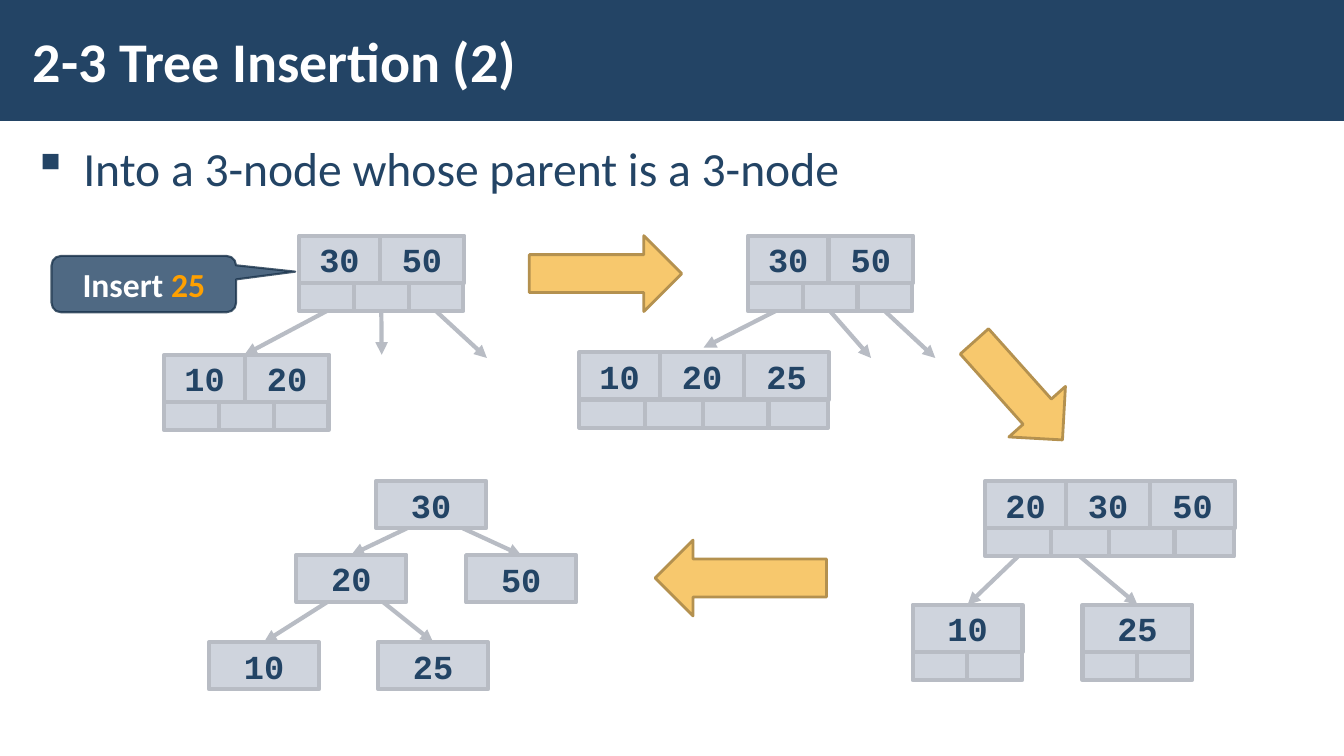
import lxml.etree
import pptx
import pptx.dml.color
import pptx.enum.shapes
import pptx.enum.text
import pptx.oxml.ns
import pptx.util

Cm = pptx.util.Cm
Pt = pptx.util.Pt
RGBColor = pptx.dml.color.RGBColor
MSO_SHAPE = pptx.enum.shapes.MSO_SHAPE
MIDDLE = pptx.enum.text.MSO_ANCHOR.MIDDLE
CENTER = pptx.enum.text.PP_ALIGN.CENTER
qn = pptx.oxml.ns.qn

NAVY = RGBColor(0x23, 0x44, 0x65)
DARK_NAVY = RGBColor(0x1A, 0x33, 0x4B)
WHITE = RGBColor(0xFF, 0xFF, 0xFF)
CELL_FILL = RGBColor(0xA1, 0xAA, 0xBC)
CELL_LINE = RGBColor(0xB8, 0xBC, 0xC4)
ORANGE = RGBColor(0xFF, 0xA0, 0x00)
ARROW_FILL = RGBColor(0xF7, 0xC8, 0x6D)
ARROW_LINE = RGBColor(0xB4, 0x91, 0x4F)

KEY_HEIGHT = 1.19
POINTER_HEIGHT = 0.71
KEY_WIDTHS = {1: [2.77], 2: [2.03, 2.13], 3: [2.03, 2.13, 2.13]}
POINTER_WIDTHS = {
    1: [1.38, 1.38],
    2: [1.38, 1.38, 1.38],
    3: [1.65, 1.47, 1.65, 1.5],
}
TOP, BOTTOM = 0, 2


def style_font(font, name, size, color, bold=True):
    font.name = name
    font.size = Pt(size)
    font.bold = bold
    font.color.rgb = color


def set_alpha(solid_fill, percent):
    alpha = lxml.etree.SubElement(solid_fill[0], qn("a:alpha"))
    alpha.set("val", str(percent * 1000))


def add_box(slide, kind, left, top, width, height, fill, line=None, weight=0):
    sp = slide.shapes.add_shape(kind, Cm(left), Cm(top), Cm(width), Cm(height))
    sp.shadow.inherit = False
    sp.fill.solid()
    sp.fill.fore_color.rgb = fill
    if line is None:
        sp.line.fill.background()
    else:
        sp.line.color.rgb = line
        sp.line.width = Pt(weight)
    return sp


def add_text(slide, left, top, width, height, text, size, color, bold):
    tb = slide.shapes.add_textbox(Cm(left), Cm(top), Cm(width), Cm(height))
    tf = tb.text_frame
    tf.word_wrap = True
    tf.margin_left = tf.margin_right = Cm(0.3)
    tf.margin_top = tf.margin_bottom = Cm(0.1)
    tf.text = text
    style_font(tf.paragraphs[0].runs[0].font, "Calibri", size, color, bold)
    return tf


def add_cells(slide, left, top, widths, height):
    cells = []
    for width in widths:
        sp = add_box(slide, MSO_SHAPE.RECTANGLE, left, top, width, height,
                     CELL_FILL, CELL_LINE, 3)
        set_alpha(sp.element.spPr.find(qn("a:solidFill")), 50)
        cells.append(sp)
        left += width
    return cells


def add_node(slide, left, top, keys, has_pointers=True):
    key_cells = add_cells(slide, left, top, KEY_WIDTHS[len(keys)], KEY_HEIGHT)
    for sp, key in zip(key_cells, keys):
        tf = sp.text_frame
        tf.vertical_anchor = MIDDLE
        tf.text = str(key)
        p = tf.paragraphs[0]
        p.alignment = CENTER
        style_font(p.runs[0].font, "Courier New", 24, NAVY)
    pointers = []
    if has_pointers:
        pointers = add_cells(slide, left, top + KEY_HEIGHT,
                             POINTER_WIDTHS[len(keys)], POINTER_HEIGHT)
    return key_cells, pointers


def add_link(slide, start, end):
    points = [p if isinstance(p, tuple) else (0, 0) for p in (start, end)]
    cx = slide.shapes.add_connector(
        pptx.enum.shapes.MSO_CONNECTOR.STRAIGHT,
        *[Cm(v) for point in points for v in point])
    if not isinstance(start, tuple):
        cx.begin_connect(start, BOTTOM)
    if not isinstance(end, tuple):
        cx.end_connect(end, TOP)
    cx.line.color.rgb = CELL_LINE
    cx.line.width = Pt(3)
    tail = lxml.etree.SubElement(cx.line._get_or_add_ln(), qn("a:tailEnd"))
    tail.set("type", "triangle")
    lxml.etree.SubElement(cx.element.spPr, qn("a:effectLst"))


def add_header(slide, width, height):
    add_box(slide, MSO_SHAPE.RECTANGLE, 0, 0, width, height, NAVY)
    tf = add_text(slide, 0.53, 0.28, 26.42, height - 0.58,
                  "2-3 Tree Insertion (2)", 40, WHITE, True)
    tf.vertical_anchor = MIDDLE


def add_body(slide, left, top, width, height):
    tf = add_text(slide, left, top, width, height,
                  "Into a 3-node whose parent is a 3-node", 34, NAVY, False)
    p = tf.paragraphs[0]
    pPr = p._p.get_or_add_pPr()
    pPr.set("marL", str(Cm(1.27)))
    pPr.set("indent", str(Cm(-1.27)))
    color = lxml.etree.SubElement(pPr, qn("a:buClr"))
    lxml.etree.SubElement(color, qn("a:srgbClr")).set("val", str(NAVY))
    lxml.etree.SubElement(pPr, qn("a:buChar")).set("char", "▪")
    p.line_spacing = 1.05


def add_callout(slide, left, top, width, height):
    sp = add_box(slide, MSO_SHAPE.ROUNDED_RECTANGULAR_CALLOUT,
                 left, top, width, height, NAVY, DARK_NAVY, 1.5)
    for i, value in enumerate((0.821, -0.221, 0.167)):
        sp.adjustments[i] = value
    spPr = sp.element.spPr
    set_alpha(spPr.find(qn("a:solidFill")), 80)
    set_alpha(spPr.find(qn("a:ln")).find(qn("a:solidFill")), 80)
    tf = sp.text_frame
    tf.vertical_anchor = MIDDLE
    p = tf.paragraphs[0]
    p.alignment = CENTER
    for text, color in (("Insert ", WHITE), ("25", ORANGE)):
        r = p.add_run()
        r.text = text
        style_font(r.font, "Calibri", 24, color)


def add_step_arrow(slide, left, top, width, rotation=0):
    sp = add_box(slide, MSO_SHAPE.RIGHT_ARROW, left, top, width, 1.91,
                 ARROW_FILL, ARROW_LINE, 2)
    sp.rotation = rotation


def add_start_tree(slide, left, top):
    _, pointers = add_node(slide, left + 3.4, top, [30, 50])
    add_node(slide, left, top + 3, [10, 20])
    ends = [(left + 2.02, top + 3), (left + 5.48, top + 3),
            (left + 8.13, top + 3.08)]
    for pointer, end in zip(pointers, ends):
        add_link(slide, pointer, end)


def add_overfull_leaf_tree(slide, left, top):
    _, pointers = add_node(slide, left + 4.25, top, [30, 50])
    ends = [(left + 3.13, top + 2.82), (left + 7.35, top + 3.08),
            (left + 8.97, top + 3.08)]
    for pointer, end in zip(pointers, ends):
        add_link(slide, pointer, end)
    add_node(slide, left, top + 2.94, [10, 20, 25])


def add_overfull_root_tree(slide, left, top):
    _, pointers = add_node(slide, left + 1.83, top, [20, 30, 50])
    for pointer, dx, key in zip(pointers, (0, 4.28), (10, 25)):
        keys, _ = add_node(slide, left + dx, top + 3.12, [key])
        add_link(slide, pointer, keys[0])


def add_split_tree(slide, left, top):
    places = {30: (4.21, 0), 20: (2.2, 1.86), 50: (6.48, 1.87),
              10: (0, 4.06), 25: (4.26, 4.06)}
    cells = {key: add_node(slide, left + dx, top + dy, [key], False)[0][0]
             for key, (dx, dy) in places.items()}
    for parent, children in ((30, (20, 50)), (20, (10, 25))):
        dx, dy = places[parent]
        for child, offset in zip(children, (0.78, 2.18)):
            start = (left + dx + offset, top + dy + KEY_HEIGHT)
            add_link(slide, start, cells[child])


def main():
    prs = pptx.Presentation()
    prs.slide_width = Cm(33.87)
    prs.slide_height = Cm(19.05)
    s = prs.slides.add_slide(prs.slide_layouts[6])
    add_header(s, 33.87, 3.05)
    add_body(s, 0.53, 3.33, 32.82, 14.45)
    add_start_tree(s, 4.14, 5.94)
    add_callout(s, 1.3, 6.45, 4.65, 1.42)
    add_step_arrow(s, 13.34, 5.94, 3.84)
    add_overfull_leaf_tree(s, 14.6, 5.94)
    add_step_arrow(s, 24, 8.89, 3.33, 48.2)
    add_overfull_root_tree(s, 23, 12.12)
    add_step_arrow(s, 16.51, 13.61, 4.32, 180)
    add_split_tree(s, 5.27, 12.12)
    prs.save("out.pptx")


if __name__ == "__main__":
    main()
